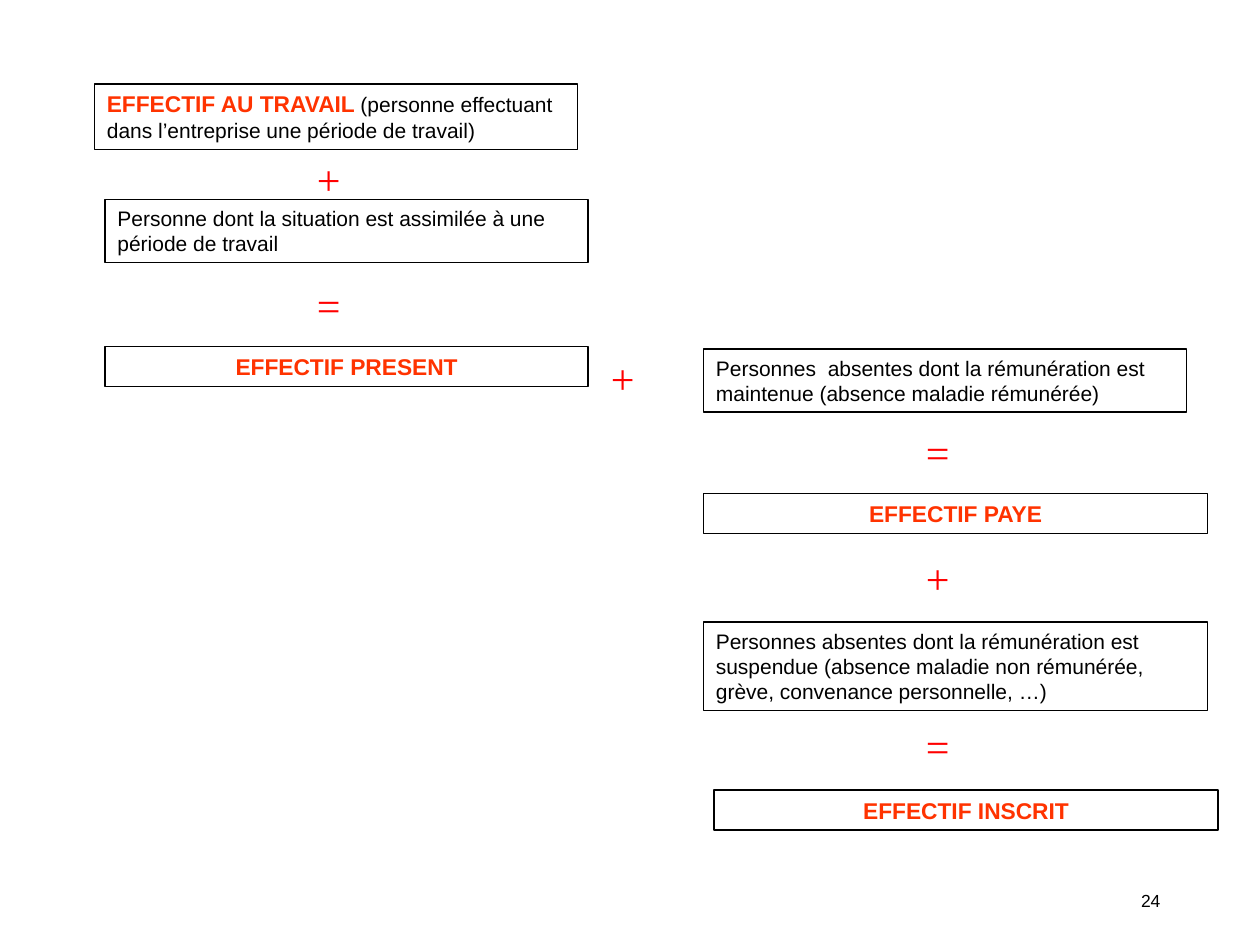
import pptx
import pptx.util
import pptx.dml.color
import pptx.enum.shapes
import pptx.enum.text

BLACK = pptx.dml.color.RGBColor(0x00, 0x00, 0x00)
ORANGE = pptx.dml.color.RGBColor(0xFF, 0x33, 0x00)
RED = pptx.dml.color.RGBColor(0xFF, 0x00, 0x00)
ALIGN = pptx.enum.text.PP_ALIGN
FIT = pptx.enum.text.MSO_AUTO_SIZE

deck = pptx.Presentation()
deck.slide_width = pptx.util.Inches(10)
deck.slide_height = pptx.util.Inches(7.5)
slide = deck.slides.add_slide(deck.slide_layouts[6])

COLUMN = deck.slide_width / 120
ROW = deck.slide_height / 90

BODY = {"name": "Arial", "size": pptx.util.Pt(12), "bold": False, "color": BLACK}
TOTAL = {"name": "Arial", "size": pptx.util.Pt(13), "bold": True, "color": ORANGE}
OPERATOR = {"name": "Times New Roman", "size": pptx.util.Pt(24), "bold": False, "color": RED}
NUMBER = {**BODY, "size": pptx.util.Pt(10)}


def place(column, row, columns, rows):
    return [round(length) for length in (column * COLUMN, row * ROW, columns * COLUMN, rows * ROW)]


def write(holder, parts, frame_format, paragraph_format):
    frame = holder.text_frame
    for key, value in frame_format.items():
        setattr(frame, key, value)
    paragraph = frame.paragraphs[0]
    for key, value in paragraph_format.items():
        setattr(paragraph, key, value)
    for text, font_format in parts:
        run = paragraph.add_run()
        run.text = text
        for key, value in font_format.items():
            if key == "color":
                run.font.color.rgb = value
            else:
                setattr(run.font, key, value)


TOP = {
    "word_wrap": True,
    "auto_size": FIT.SHAPE_TO_FIT_TEXT,
    "vertical_anchor": pptx.enum.text.MSO_ANCHOR.TOP,
}
MIDDLE = {
    "word_wrap": True,
    "auto_size": FIT.NONE,
    "vertical_anchor": pptx.enum.text.MSO_ANCHOR.MIDDLE,
}
DEFINITION = {"alignment": ALIGN.LEFT, "space_before": pptx.util.Pt(7.5)}
RESULT = {"alignment": ALIGN.CENTER, "space_before": pptx.util.Pt(8.1)}
SIGN = {"alignment": ALIGN.LEFT, "space_before": pptx.util.Pt(15)}

headcounts = [
    (9, 8, 46, 6.25, DEFINITION, [
        ("EFFECTIF AU TRAVAIL", TOTAL),
        (" (personne effectuant dans l’entreprise une période de travail)", BODY),
    ]),
    (10, 19, 46, 6, DEFINITION, [
        ("Personne dont la situation est assimilée à une période de travail", BODY),
    ]),
    (10, 33, 46, 3.8, RESULT, [("EFFECTIF PRESENT", TOTAL)]),
    (67, 33.25, 46, 6, DEFINITION, [
        ("Personnes  absentes dont la rémunération est maintenue (absence maladie rémunérée)", BODY),
    ]),
    (67, 47, 48, 3.8, RESULT, [("EFFECTIF PAYE", TOTAL)]),
    (67, 59.25, 48, 8.4, DEFINITION, [
        ("Personnes absentes dont la rémunération est suspendue (absence maladie non rémunérée, "
         "grève, convenance personnelle, …)", BODY),
    ]),
    (68, 75.25, 48, 3.8, RESULT, [("EFFECTIF INSCRIT", TOTAL)]),
]
for column, row, columns, rows, paragraph_format, parts in headcounts:
    headcount = slide.shapes.add_shape(
        pptx.enum.shapes.MSO_SHAPE.RECTANGLE, *place(column, row, columns, rows))
    headcount.shadow.inherit = False
    headcount.fill.background()
    headcount.line.color.rgb = BLACK
    headcount.line.width = pptx.util.Pt(0.75)
    write(headcount, parts, TOP, paragraph_format)

operators = [
    ("+", 29, 14), ("=", 29, 26), ("+", 57, 33),
    ("=", 87, 40), ("+", 87, 52), ("=", 87, 68),
]
for symbol, column, row in operators:
    operator = slide.shapes.add_textbox(*place(column, row, 5, 6))
    write(operator, [(symbol, OPERATOR)], TOP, SIGN)

page_number = slide.shapes.add_textbox(*place(84.7, 83.4, 27, 4.8))
write(page_number, [("24", NUMBER)], MIDDLE, {"alignment": ALIGN.RIGHT})

deck.save("out.pptx")
